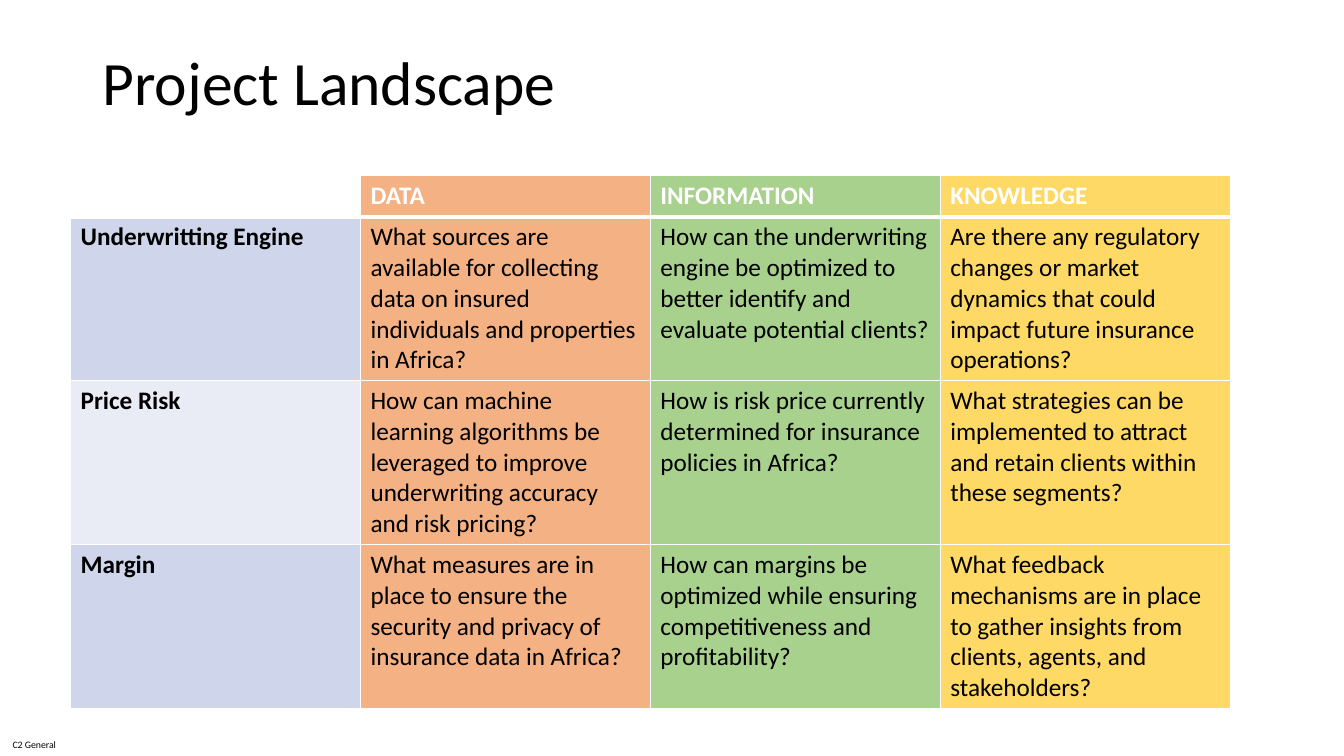
from lxml import etree
from pptx import Presentation
from pptx.dml.color import RGBColor
from pptx.enum.text import MSO_ANCHOR, PP_ALIGN
from pptx.oxml.ns import qn
from pptx.util import Inches, Pt

MIDDLE = MSO_ANCHOR.MIDDLE
LEFT, CENTER = PP_ALIGN.LEFT, PP_ALIGN.CENTER

BLACK = RGBColor(0x00, 0x00, 0x00)
WHITE = RGBColor(0xFF, 0xFF, 0xFF)
ORANGE = RGBColor(0xF4, 0xB1, 0x83)
GREEN = RGBColor(0xA9, 0xD1, 0x8E)
YELLOW = RGBColor(0xFF, 0xD9, 0x66)
BAND_DARK = RGBColor(0xCF, 0xD5, 0xEA)
BAND_LIGHT = RGBColor(0xE9, 0xEB, 0xF5)

TOPIC_FILLS = [ORANGE, GREEN, YELLOW]
BAND_FILLS = [BAND_DARK, BAND_LIGHT]
HEADINGS = ["", "DATA", "INFORMATION", "KNOWLEDGE"]
QUESTIONS = [
    ["Underwritting Engine",
     "What sources are available for collecting data on insured individuals and properties in Africa?",
     "How can the underwriting engine be optimized to better identify and evaluate potential clients?",
     "Are there any regulatory changes or market dynamics that could impact future insurance operations?"],
    ["Price Risk",
     "How can machine learning algorithms be leveraged to improve underwriting accuracy and risk pricing?",
     "How is risk price currently determined for insurance policies in Africa?",
     "What strategies can be implemented to attract and retain clients within these segments?"],
    ["Margin",
     "What measures are in place to ensure the security and privacy of insurance data in Africa?",
     "How can margins be optimized while ensuring competitiveness and profitability?",
     "What feedback mechanisms are in place to gather insights from clients, agents, and stakeholders?"],
]


class LandscapePage:
    font = "Calibri"
    grid = 100

    def __init__(self, deck):
        self.deck = deck
        self.page = deck.slides.add_slide(deck.slide_layouts[6])

    def across(self, columns):
        return int(self.deck.slide_width * columns / self.grid)

    def down(self, rows):
        return int(self.deck.slide_height * rows / self.grid)

    def place(self, left, top, width, height):
        return self.across(left), self.down(top), self.across(width), self.down(height)

    def add_span(self, para, text, size, color=BLACK, bold=False):
        span = para.add_run()
        span.text = text
        span.font.name = self.font
        span.font.size = Pt(size)
        span.font.bold = bold
        span.font.color.rgb = color

    def add_text(self, area, text, size, align=LEFT, spacing=1.0, inset=None):
        box = self.page.shapes.add_textbox(*self.place(*area))
        frame = box.text_frame
        frame.word_wrap = True
        frame.vertical_anchor = MIDDLE
        if inset is not None:
            frame.margin_left = frame.margin_right = inset
            frame.margin_top = frame.margin_bottom = inset
        para = frame.paragraphs[0]
        para.alignment = align
        para.line_spacing = spacing
        self.add_span(para, text, size)

    def add_borders(self, cell, widths):
        properties = cell._tc.get_or_add_tcPr()
        for position, (side, width) in enumerate(widths.items()):
            line = etree.Element(qn(f"a:ln{side}"), w=str(Pt(width)))
            fill = etree.SubElement(line, qn("a:solidFill"))
            etree.SubElement(fill, qn("a:srgbClr"), val=str(WHITE))
            properties.insert(position, line)

    def fill_cell(self, cell, text, fill, color, bold, widths):
        cell.fill.solid()
        cell.fill.fore_color.rgb = fill
        self.add_borders(cell, widths)
        if text:
            self.add_span(cell.text_frame.paragraphs[0], text, 18, color, bold)

    def add_table(self, left, top, column_width, header_height, body_height):
        rows = [HEADINGS] + QUESTIONS
        area = (left, top, column_width * len(HEADINGS),
                header_height + body_height * len(QUESTIONS))
        table = self.page.shapes.add_table(
            len(rows), len(HEADINGS), *self.place(*area)).table
        table.first_row = table.horz_banding = False
        for column in table.columns:
            column.width = self.across(column_width)
        for r, texts in enumerate(rows):
            header = r == 0
            table.rows[r].height = self.down(header_height if header else body_height)
            row_fill = WHITE if header else BAND_FILLS[(r - 1) % 2]
            widths = {"L": 1, "R": 1, "T": 3 if r == 1 else 1, "B": 3 if header else 1}
            for c, (text, fill) in enumerate(zip(texts, [row_fill] + TOPIC_FILLS)):
                self.fill_cell(table.cell(r, c), text, fill,
                               WHITE if header else BLACK, header or c == 0, widths)


def main():
    deck = Presentation()
    deck.slide_width = Inches(13.33)
    deck.slide_height = Inches(7.5)
    landscape = LandscapePage(deck)
    landscape.add_text((0, 96.93, 5.1, 3.07), "C2 General", 7, align=CENTER, inset=0)
    landscape.add_text((6.9, 5.33, 86.27, 11.87), "Project Landscape", 44, spacing=0.9)
    landscape.add_table(5.25, 23.2, 21.57, 5.47, 21.68)
    deck.save("out.pptx")


if __name__ == "__main__":
    main()
